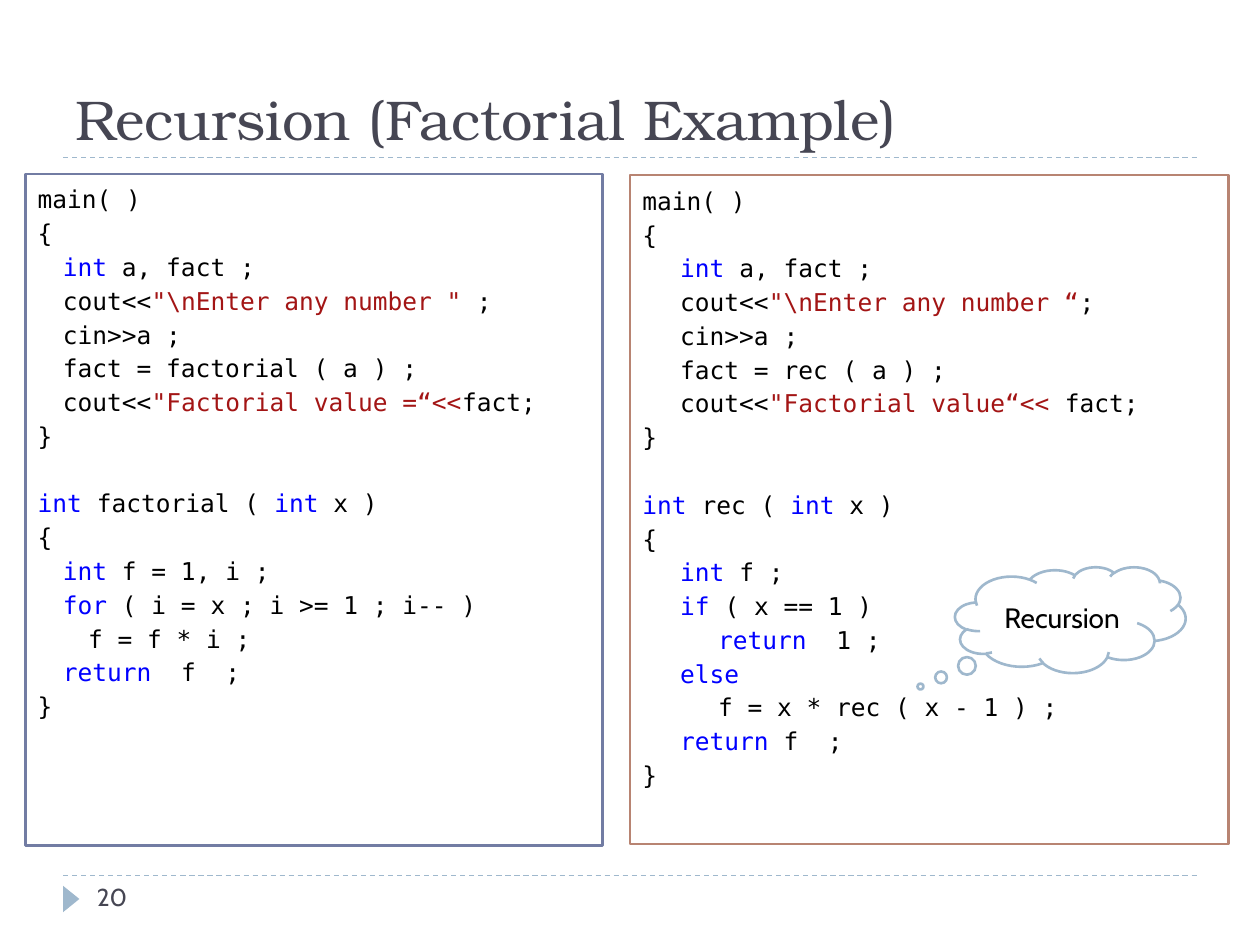
from dataclasses import dataclass
from typing import NamedTuple

from lxml.etree import SubElement
from pptx import Presentation
from pptx.dml.color import RGBColor
from pptx.enum.dml import MSO_LINE
from pptx.enum.shapes import MSO_CONNECTOR, MSO_SHAPE
from pptx.enum.text import MSO_ANCHOR, PP_ALIGN
from pptx.oxml.ns import qn
from pptx.util import Inches, Pt


@dataclass(frozen=True)
class Theme:
    accent: str = "9FB8CD"
    heading: str = "464653"
    left_border: str = "727CA3"
    right_border: str = "B88472"
    paper: str = "FFFFFF"
    ink: str = "000000"
    keyword: str = "0000FF"
    literal: str = "A31515"
    title_font: str = "TeX Gyre Bonum"
    body_font: str = "Cabin"
    code_font: str = "DejaVu Sans Mono"
    title_size: int = 32
    callout_size: int = 16
    body_size: int = 14
    border: float = 1.5
    rule: float = 0.75
    code_spacing: float = 1.15
    code_gap: float = 19.3


THEME = Theme()


class Box(NamedTuple):
    left: float
    top: float
    width: float
    height: float


class Token(NamedTuple):
    text: str
    color: str = THEME.ink


class Line(NamedTuple):
    level: int
    tokens: tuple
    space_before: float = 0


class CodePanel(NamedTuple):
    box: Box
    border: str
    indent: float
    lines: list


def keyword(text: str) -> Token:
    return Token(text, THEME.keyword)


def literal(text: str) -> Token:
    return Token(text, THEME.literal)


def code(level: int, *tokens, space_before: float = 0) -> Line:
    return Line(level, tuple(Token(token) if isinstance(token, str) else token for token in tokens), space_before)


def write(shape, lines: list, *, font: str, size: float, align=PP_ALIGN.LEFT,
          anchor=MSO_ANCHOR.TOP, indent: float = 0, spacing: float = 1.0) -> None:
    frame = shape.text_frame
    frame.word_wrap = True
    frame.vertical_anchor = anchor
    for index, line in enumerate(lines):
        paragraph = frame.add_paragraph() if index else frame.paragraphs[0]
        paragraph.alignment = align
        paragraph.line_spacing = spacing
        paragraph.space_before = Pt(line.space_before)
        if line.level:
            paragraph._p.get_or_add_pPr().set("marL", str(Inches(indent * line.level)))
        for token in line.tokens:
            run = paragraph.add_run()
            run.text = token.text
            run.font.name = font
            run.font.size = Pt(size)
            run.font.color.rgb = RGBColor.from_string(token.color)


def add_label(slide, box: Box, text: str, *, font: str, size: float, anchor=MSO_ANCHOR.TOP) -> None:
    shape = slide.shapes.add_textbox(*map(Inches, box))
    write(shape, [Line(0, (Token(text, THEME.heading),))], font=font, size=size, anchor=anchor)


def add_preset(slide, kind, box: Box, *, fill: str, border: str = ""):
    shape = slide.shapes.add_shape(kind, *map(Inches, box))
    shape.shadow.inherit = False
    shape.fill.solid()
    shape.fill.fore_color.rgb = RGBColor.from_string(fill)
    if border:
        shape.line.color.rgb = RGBColor.from_string(border)
        shape.line.width = Pt(THEME.border)
    else:
        shape.line.fill.background()
    return shape


def add_rule(slide, top: float) -> None:
    rule = slide.shapes.add_connector(
        MSO_CONNECTOR.STRAIGHT, Inches(0.5), Inches(top), Inches(9.5), Inches(top))
    rule.line.color.rgb = RGBColor.from_string(THEME.accent)
    rule.line.width = Pt(THEME.rule)
    rule.line.dash_style = MSO_LINE.DASH
    SubElement(rule._element.spPr, qn("a:effectLst"))


def add_code_panel(slide, panel: CodePanel) -> None:
    shape = add_preset(slide, MSO_SHAPE.RECTANGLE, panel.box, fill=THEME.paper, border=panel.border)
    write(shape, panel.lines, font=THEME.code_font, size=THEME.body_size,
          indent=panel.indent, spacing=THEME.code_spacing)


RECURSIVE = CodePanel(Box(5, 1.39, 4.75, 5.31), THEME.right_border, 0.3, [
    code(0, "main( )"),
    code(0, "{"),
    code(1, keyword("int"), " a, fact ;"),
    code(1, "cout<<", literal('"\\nEnter any number “'), ";"),
    code(1, "cin>>a ;"),
    code(1, "fact = rec ( a ) ;"),
    code(1, "cout<<", literal('"Factorial value“<<'), " fact;"),
    code(0, "}"),
    code(0, keyword("int"), " rec ( ", keyword("int"), " x )", space_before=THEME.code_gap),
    code(0, "{"),
    code(1, keyword("int"), " f ;"),
    code(1, keyword("if"), " ( x == 1 )"),
    code(2, keyword("return"), "  1 ;"),
    code(1, keyword("else")),
    code(2, "f = x * rec ( x - 1 ) ;"),
    code(1, keyword("return"), " f  ;"),
    code(0, "}"),
])

ITERATIVE = CodePanel(Box(0.2, 1.38, 4.58, 5.33), THEME.left_border, 0.2, [
    code(0, "main( )"),
    code(0, "{"),
    code(1, keyword("int"), " a, fact ;"),
    code(1, "cout<<", literal('"\\nEnter any number "'), " ;"),
    code(1, "cin>>a ;"),
    code(1, "fact = factorial ( a ) ;"),
    code(1, "cout<<", literal('"Factorial value =“<<'), "fact;"),
    code(0, "}"),
    code(0, keyword("int"), " factorial ( ", keyword("int"), " x )", space_before=THEME.code_gap),
    code(0, "{"),
    code(1, keyword("int"), " f = 1, i ;"),
    code(1, keyword("for"), " ( i = x ; i >= 1 ; i-- )"),
    code(2, "f = f * i ;"),
    code(1, keyword("return"), "  f  ;"),
    code(0, "}"),
])


def main() -> None:
    presentation = Presentation()
    presentation.slide_width = Inches(10)
    presentation.slide_height = Inches(7.5)
    slide = presentation.slides.add_slide(presentation.slide_layouts[6])

    for top in (6.95, 1.25):
        add_rule(slide, top)
    marker = add_preset(slide, MSO_SHAPE.ISOSCELES_TRIANGLE, Box(0.46, 7.07, 0.21, 0.13), fill=THEME.accent)
    marker.rotation = 90
    add_label(slide, Box(0.5, 0.17, 9, 1.08), "Recursion (Factorial Example)",
              font=THEME.title_font, size=THEME.title_size, anchor=MSO_ANCHOR.BOTTOM)

    for panel in (RECURSIVE, ITERATIVE):
        add_code_panel(slide, panel)
    add_label(slide, Box(0.67, 6.95, 2.17, 0.4), "20", font=THEME.body_font, size=THEME.body_size)

    callout = add_preset(slide, MSO_SHAPE.CLOUD_CALLOUT, Box(7.58, 4.5, 1.83, 0.84),
                         fill=THEME.paper, border=THEME.accent)
    callout.adjustments[0] = -0.65
    callout.adjustments[1] = 0.63
    write(callout, [code(0, "Recursion")], font=THEME.body_font, size=THEME.callout_size,
          align=PP_ALIGN.CENTER, anchor=MSO_ANCHOR.MIDDLE)

    presentation.save("out.pptx")


if __name__ == "__main__":
    main()
